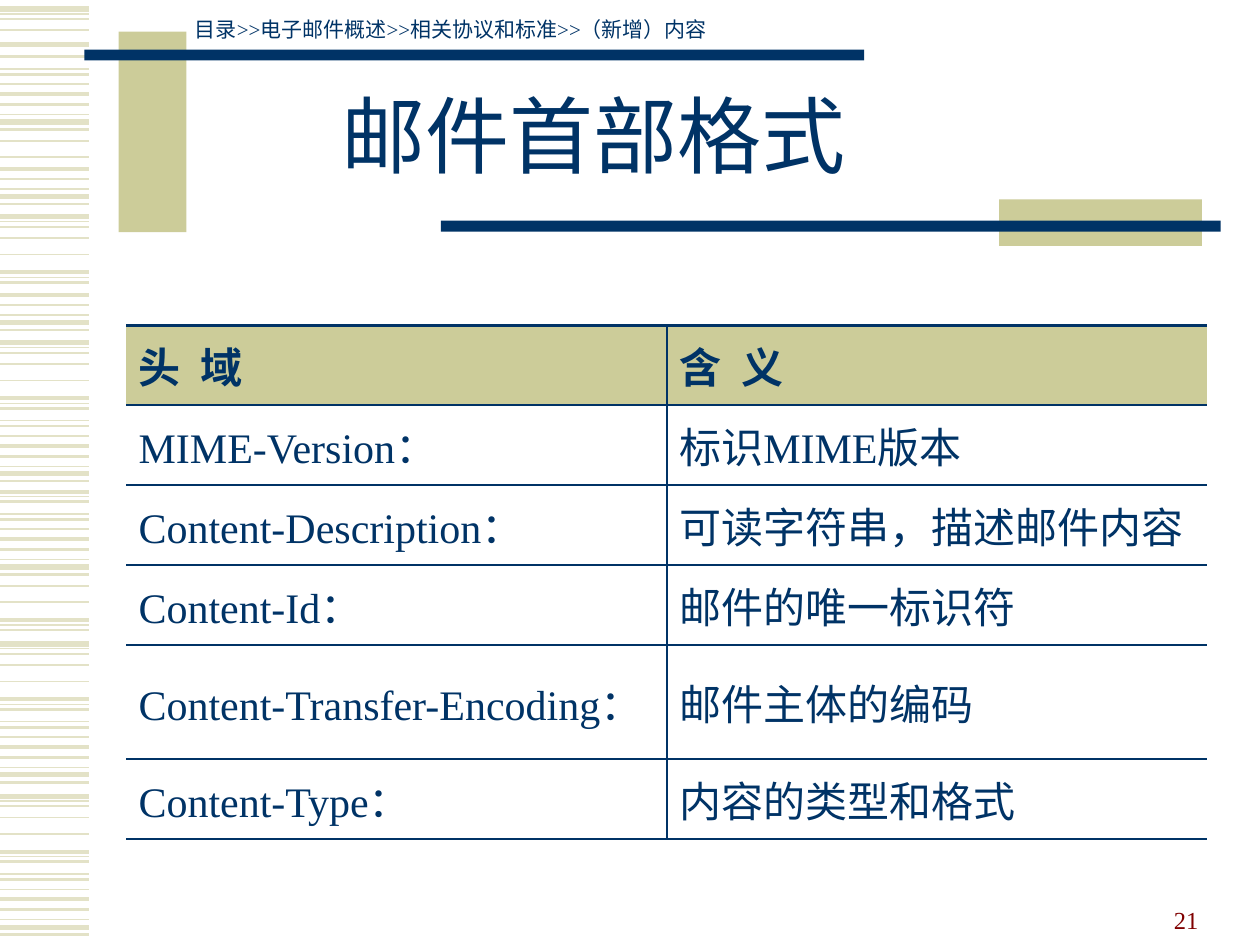
from dataclasses import dataclass

from lxml.etree import SubElement
from pptx import Presentation
from pptx.dml.color import RGBColor
from pptx.enum.shapes import MSO_CONNECTOR, MSO_SHAPE
from pptx.enum.text import MSO_ANCHOR, PP_ALIGN
from pptx.oxml import parse_xml
from pptx.oxml.ns import nsdecls, qn
from pptx.util import Cm, Pt

COLORS = {"navy": "003366", "khaki": "CCCC99", "stripe": "E3E2C7", "maroon": "800000"}
SERIF = "Times New Roman"
STRIPE_LENGTH = 1.8

# Offset in cm and width in points of each stripe in the repeating pattern
STRIPE_PATTERN = [
    (0, 3), (0.1, 0.75), (0.2, 1), (0.43, 1),
    (0.76, 1), (1.12, 2.25), (1.22, 0.75), (1.32, 1.5),
    (1.57, 0.75), (1.68, 1.5), (1.88, 1), (2.08, 2.25),
    (2.29, 1.5), (2.49, 0.75), (2.64, 3), (2.79, 1.5),
]


@dataclass
class StripeRun:
    """A slice of the stripe pattern, shifted down by origin."""
    origin: float
    first: int = 0
    end: int = len(STRIPE_PATTERN)


@dataclass
class Bar:
    left: float
    top: float
    width: float
    height: float
    color: str


@dataclass
class Label:
    text: str
    left: float
    top: float
    width: float
    height: float
    font: dict
    color: str
    paragraph: dict
    anchor: MSO_ANCHOR = MSO_ANCHOR.TOP


STRIPE_RUNS = [
    StripeRun(0.18, end=4), StripeRun(0.89, end=1), StripeRun(-0.18, 7),
    StripeRun(2.41, 3, 5), StripeRun(1.32, 11), StripeRun(4.37, end=8),
    StripeRun(3.86, 11), StripeRun(6.91), StripeRun(8.79, 5),
    StripeRun(11.38, 3, 8), StripeRun(12.98), StripeRun(16.05),
]

BARS = [
    Bar(2.39, 0.64, 1.37, 4.04, "khaki"),
    Bar(1.7, 1, 15.72, 0.22, "navy"),
    Bar(20.14, 4.02, 4.09, 0.94, "khaki"),
    Bar(8.89, 4.45, 15.72, 0.22, "navy"),
]

LABELS = [
    Label("邮件首部格式", 3.81, 1.27, 16.31, 3.18,
          {"size": Pt(48), "name": "Arial"}, "navy",
          {"alignment": PP_ALIGN.CENTER, "line_spacing": 0.85}, MSO_ANCHOR.MIDDLE),
    Label("目录>>电子邮件概述>>相关协议和标准>>（新增）内容", 3.68, 0.2, 17.22, 0.76,
          {"size": Pt(12), "name": SERIF}, "navy", {"space_before": Pt(7.5)}),
    Label("21", 18.31, 17.7, 6.1, 1.27,
          {"size": Pt(14), "name": SERIF}, "maroon",
          {"alignment": PP_ALIGN.RIGHT}, MSO_ANCHOR.BOTTOM),
]

HEADER_FIELDS = [
    ("头 域", "含 义"),
    ("MIME-Version：", "标识MIME版本"),
    ("Content-Description：", "可读字符串，描述邮件内容"),
    ("Content-Id：", "邮件的唯一标识符"),
    ("Content-Transfer-Encoding：", "邮件主体的编码"),
    ("Content-Type：", "内容的类型和格式"),
]
ROW_HEIGHTS = [1.61, 1.61, 1.61, 1.61, 2.3, 1.61]
COLUMN_WIDTH = 10.9


def rgb(name: str) -> RGBColor:
    return RGBColor.from_string(COLORS[name])


def apply_format(target, values: dict) -> None:
    for attribute, value in values.items():
        setattr(target, attribute, value)


def write_text(frame, text: str, font: dict, color: str, paragraph_format: dict):
    paragraph = frame.paragraphs[0]
    apply_format(paragraph, paragraph_format)
    span = paragraph.add_run()
    span.text = text
    apply_format(span.font, font)
    span.font.color.rgb = rgb(color)
    return span


def draw_stripe(page, top: float, width: float) -> None:
    stripe = page.shapes.add_connector(
        MSO_CONNECTOR.STRAIGHT, Cm(0), Cm(top), Cm(STRIPE_LENGTH), Cm(top))
    stripe.line.color.rgb = rgb("stripe")
    stripe.line.width = Pt(width)
    SubElement(stripe._element.spPr, qn("a:effectLst"))


def draw_bar(page, bar: Bar) -> None:
    shape = page.shapes.add_shape(
        MSO_SHAPE.RECTANGLE, Cm(bar.left), Cm(bar.top), Cm(bar.width), Cm(bar.height))
    shape.shadow.inherit = False
    shape.fill.solid()
    shape.fill.fore_color.rgb = rgb(bar.color)
    shape.line.fill.background()


def draw_label(page, label: Label) -> None:
    box = page.shapes.add_textbox(
        Cm(label.left), Cm(label.top), Cm(label.width), Cm(label.height))
    apply_format(box.text_frame, {"word_wrap": True, "vertical_anchor": label.anchor})
    write_text(box.text_frame, label.text, label.font, label.color, label.paragraph)


def set_borders(cell, widths: dict) -> None:
    """Draw the four cell sides; a width of zero hides a side."""
    properties = cell._tc.get_or_add_tcPr()
    for index, side in enumerate("LRTB"):
        width = widths[side]
        paint = (f'<a:solidFill><a:srgbClr val="{COLORS["navy"]}"/></a:solidFill>'
                 if width else "<a:noFill/>")
        properties.insert(index, parse_xml(
            f'<a:ln{side} {nsdecls("a")} w="{Pt(width)}">{paint}</a:ln{side}>'))


def draw_header_table(page) -> None:
    rows, columns = len(HEADER_FIELDS), len(HEADER_FIELDS[0])
    table = page.shapes.add_table(
        rows, columns, Cm(2.54), Cm(6.56),
        Cm(COLUMN_WIDTH * columns), Cm(sum(ROW_HEIGHTS))).table
    table.horz_banding = False
    for column in table.columns:
        column.width = Cm(COLUMN_WIDTH)
    for r, texts in enumerate(HEADER_FIELDS):
        table.rows[r].height = Cm(ROW_HEIGHTS[r])
        heading = r == 0
        for c, text in enumerate(texts):
            cell = table.cell(r, c)
            cell.vertical_anchor = MSO_ANCHOR.MIDDLE
            if heading:
                cell.fill.solid()
                cell.fill.fore_color.rgb = rgb("khaki")
            else:
                cell.fill.background()
            span = write_text(cell.text_frame, text,
                              {"size": Pt(24), "name": SERIF, "bold": heading},
                              "navy", {"space_before": Pt(6)})
            if heading:
                span._r.get_or_add_rPr().set("spc", "300")
            set_borders(cell, {
                "L": 1.08 if c else 0,
                "R": 1.08 if c < columns - 1 else 0,
                "T": 1.47 if heading else 1.08,
                "B": 1.47 if r == rows - 1 else 1.08,
            })


def main() -> None:
    deck = Presentation()
    deck.slide_width, deck.slide_height = Cm(25.4), Cm(19.05)
    page = deck.slides.add_slide(deck.slide_layouts[6])
    for run in STRIPE_RUNS:
        for offset, width in STRIPE_PATTERN[run.first:run.end]:
            draw_stripe(page, run.origin + offset, width)
    for bar in BARS:
        draw_bar(page, bar)
    for label in LABELS:
        draw_label(page, label)
    draw_header_table(page)
    deck.save("out.pptx")


if __name__ == "__main__":
    main()
